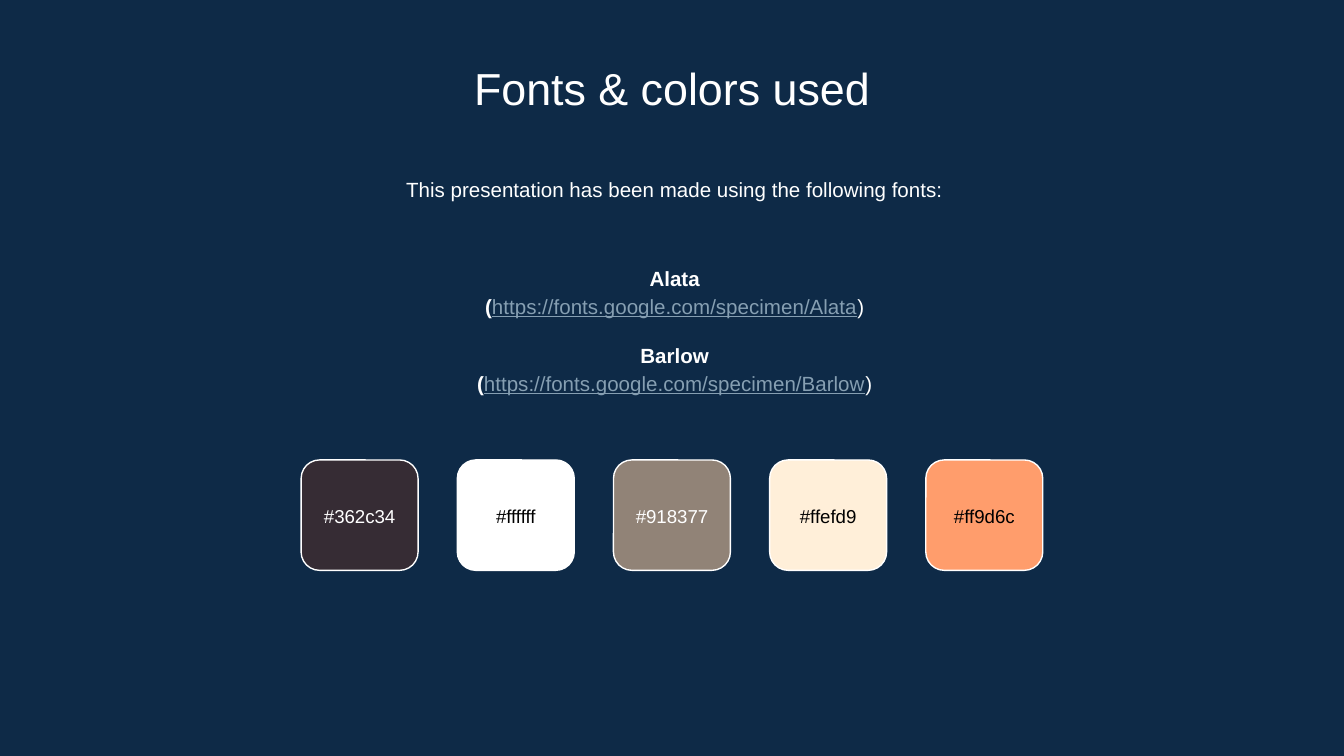
from dataclasses import dataclass

from pptx import Presentation
from pptx.dml.color import RGBColor
from pptx.enum.shapes import MSO_SHAPE as Shape
from pptx.enum.text import MSO_ANCHOR as Anchor, PP_ALIGN as Align
from pptx.util import Inches, Pt

WIDTH = 10
HEIGHT = WIDTH * 9 / 16
FONT = "Arial"
NAVY, WHITE, BLACK, LINK = "0E2A47", "FFFFFF", "000000", "869FB2"
TILE, PITCH = 8.7, 11.62


@dataclass(frozen=True)
class Box:
    left: float
    top: float
    width: float
    height: float

    def place(self) -> tuple:
        return (
            Inches(WIDTH * self.left / 100),
            Inches(HEIGHT * self.top / 100),
            Inches(WIDTH * self.width / 100),
            Inches(HEIGHT * self.height / 100),
        )


@dataclass(frozen=True)
class Run:
    text: str
    color: str = WHITE
    bold: bool = False
    under: bool = False


@dataclass(frozen=True)
class Swatch:
    fill: str
    ink: str


def color(code: str) -> RGBColor:
    return RGBColor.from_string(code)


def write(slide, box: Box, lines: list[list[Run]], *, size: float,
          anchor=Anchor.TOP, leading: float = 1, gaps: tuple = ()) -> None:
    frame = slide.shapes.add_textbox(*box.place()).text_frame
    frame.word_wrap = True
    frame.vertical_anchor = anchor
    frame.margin_left = frame.margin_right = Inches(0.1)
    frame.margin_top = frame.margin_bottom = Inches(0.1)
    for row, runs in enumerate(lines):
        para = frame.add_paragraph() if row else frame.paragraphs[0]
        para.alignment = Align.CENTER
        para.line_spacing = leading
        if row in gaps:
            para.space_before = Pt(11)
        for item in runs:
            run = para.add_run()
            run.text = item.text
            font = run.font
            font.name, font.size = FONT, Pt(size)
            font.bold, font.underline = item.bold, item.under
            font.color.rgb = color(item.color)


def draw(slide, swatch: Swatch, left: float) -> None:
    tile = slide.shapes.add_shape(
        Shape.ROUNDED_RECTANGLE, *Box(left, 60.85, TILE, 14.6).place())
    tile.shadow.inherit = False
    tile.fill.solid()
    tile.fill.fore_color.rgb = color(swatch.fill)
    tile.line.color.rgb = color(WHITE)
    tile.line.width = Pt(0.75)
    write(slide, Box(left, 64, TILE, 8.54),
          [[Run("#" + swatch.fill.lower(), swatch.ink)]],
          size=10, anchor=Anchor.MIDDLE)


def credit(name: str) -> list[list[Run]]:
    link = f"https://fonts.google.com/specimen/{name}"
    return [
        [Run(name, bold=True)],
        [Run("(", bold=True), Run(link, LINK, under=True), Run(")")],
    ]


def main() -> None:
    deck = Presentation()
    deck.slide_width, deck.slide_height = Inches(WIDTH), Inches(HEIGHT)
    slide = deck.slides.add_slide(deck.slide_layouts[6])
    slide.background.fill.solid()
    slide.background.fill.fore_color.rgb = color(NAVY)

    write(slide, Box(11.45, 6.23, 77.1, 9.43),
          [[Run("Fonts & colors used")]], size=24)
    write(slide, Box(11.65, 21.17, 77.1, 8.54),
          [[Run("This presentation has been made using the following fonts:")]],
          size=11, leading=1.15)
    write(slide, Box(11.65, 31.32, 77.1, 24.38),
          credit("Alata") + credit("Barlow"),
          size=11, anchor=Anchor.MIDDLE, leading=1.15, gaps=(2,))

    swatches = [
        Swatch("362C34", WHITE),
        Swatch("FFFFFF", BLACK),
        Swatch("918377", WHITE),
        Swatch("FFEFD9", BLACK),
        Swatch("FF9D6C", BLACK),
    ]
    start = (100 - PITCH * (len(swatches) - 1) - TILE) / 2
    for col, swatch in enumerate(swatches):
        draw(slide, swatch, start + col * PITCH)

    deck.save("out.pptx")


if __name__ == "__main__":
    main()
